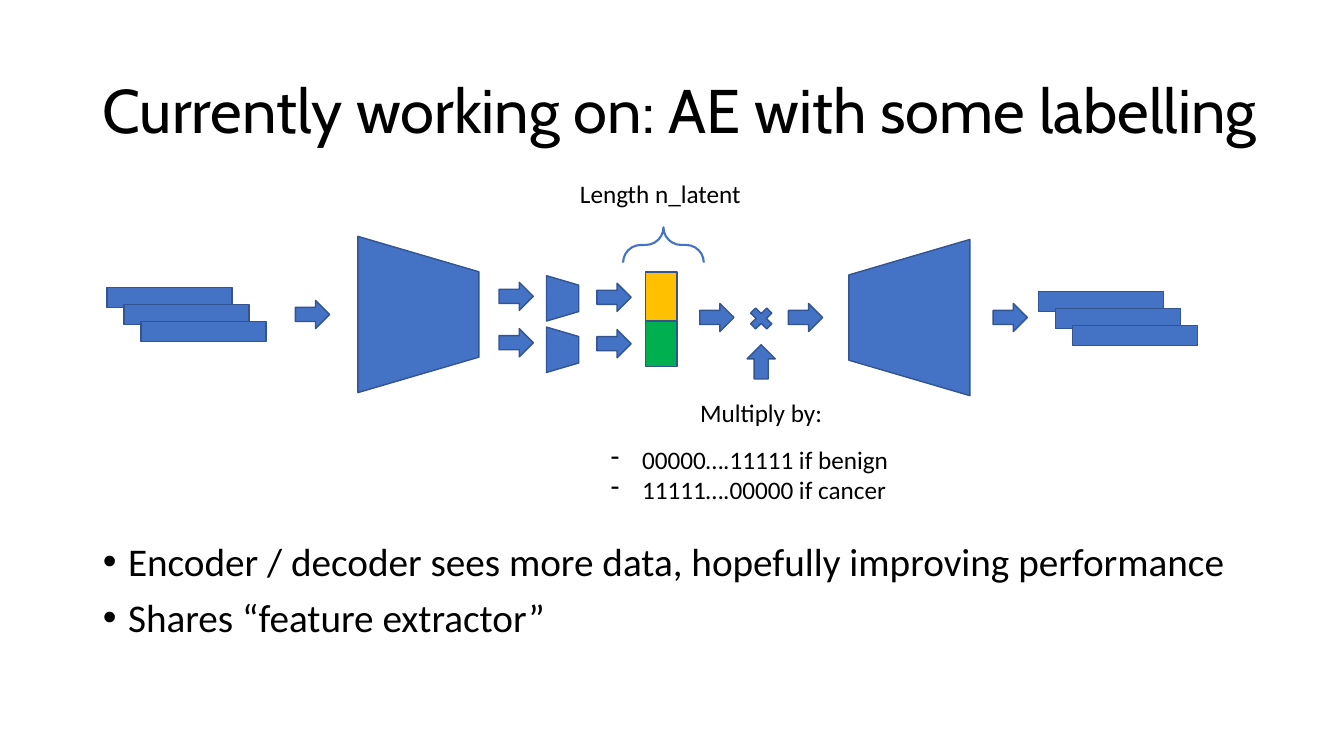
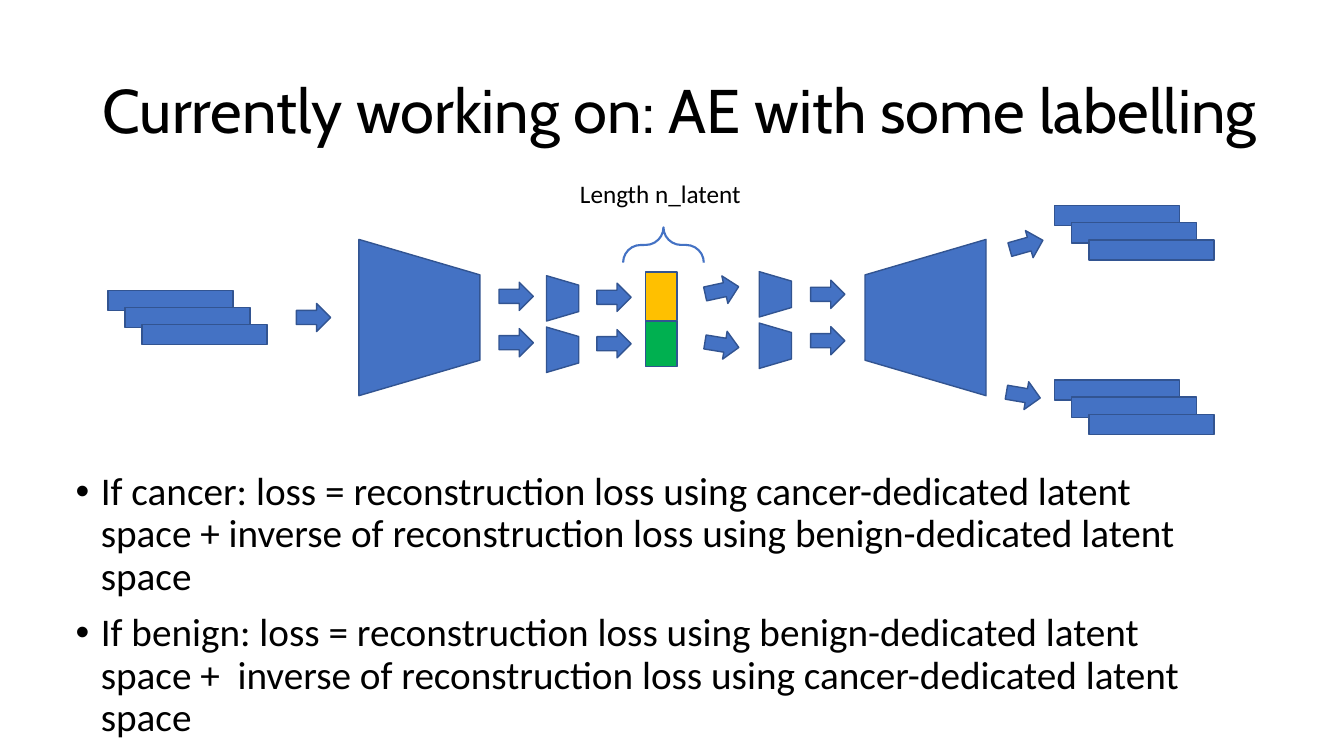
from lxml.etree import SubElement
from pptx import Presentation
from pptx.dml.color import RGBColor
from pptx.enum.shapes import MSO_SHAPE as Preset
from pptx.enum.text import MSO_ANCHOR, MSO_AUTO_SIZE, PP_ALIGN
from pptx.oxml.ns import qn
from pptx.util import Inches, Pt

# Content
TITLE = "Currently working on: AE with some labelling"
LATENT_LABEL = "Length n_latent"
MULTIPLY_LABEL = "Multiply by:"
MASKS = ["00000….11111 if benign", "11111….00000 if cancer"]
BENEFITS = [
    "Encoder / decoder sees more data, hopefully improving performance",
    "Shares “feature extractor”",
]
LOSSES = [
    "If cancer: loss = reconstruction loss using cancer-dedicated latent "
    "space + inverse of reconstruction loss using benign-dedicated latent space",
    "If benign: loss = reconstruction loss using benign-dedicated latent "
    "space +  inverse of reconstruction loss using cancer-dedicated latent space",
]

# Shared style, lengths in inches
COLORS = {"block": "4472C4", "edge": "325491", "benign": "FFC000",
          "cancer": "00B050", "text": "000000"}
SLIDE_W, SLIDE_H = 13.33, 7.5
AXIS = 3.15
ARROW = (0.34, 0.28)
BAR = (1.24, 0.2)
BAR_STEP = 0.17
CODER = (1.55, 1.2)
HEAD = (0.45, 0.32)
HEAD_GAP = 0.51
LANE_GAP = 0.46


def rgb(name):
    return RGBColor.from_string(COLORS[name])


# Text
def write(frame, lines, size, font="Calibri"):
    frame.text = "\n".join(lines)
    frame.word_wrap = True
    for paragraph in frame.paragraphs:
        for run in paragraph.runs:
            run.font.size, run.font.name = Pt(size), font
            run.font.color.rgb = rgb("text")


def hang(paragraph, indent, bullet):
    props = paragraph._p.get_or_add_pPr()
    props.set("marL", str(Inches(indent)))
    props.set("indent", str(-Inches(indent)))
    SubElement(props, qn("a:buChar"), char=bullet)


def place(shape, left, top, width, height):
    shape.left, shape.top = Inches(left), Inches(top)
    shape.width, shape.height = Inches(width), Inches(height)


def add_note(slide, left, top, width, height, lines):
    box = slide.shapes.add_textbox(*map(Inches, (left, top, width, height)))
    write(box.text_frame, lines, 18)
    return box.text_frame.paragraphs


def add_label(slide, center, top, text):
    add_note(slide, center - 0.92, top, 1.84, 0.4, [text])[0].alignment = PP_ALIGN.CENTER


# Diagram parts, each placed by its centre
def add_part(slide, preset, x, y, size, turn=0, fill="block"):
    width, height = size
    part = slide.shapes.add_shape(
        preset, Inches(x - width / 2), Inches(y - height / 2), Inches(width), Inches(height))
    part.rotation = turn % 360
    part.shadow.inherit = False
    part.fill.solid()
    part.fill.fore_color.rgb = rgb(fill)
    part.line.color.rgb = rgb("edge")
    part.line.width = Pt(1)
    return part


def add_arrow(slide, x, y, turn=0):
    add_part(slide, Preset.RIGHT_ARROW, x, y, ARROW, turn)


def add_arrow_pair(slide, x, top):
    for lane in range(2):
        add_arrow(slide, x, top + lane * LANE_GAP)


def add_funnel(slide, x, y, size, turn=90):
    add_part(slide, Preset.TRAPEZOID, x, y, size, turn).adjustments[0] = 0.293


def add_heads(slide, x, top):
    for lane in range(2):
        add_funnel(slide, x, top + lane * HEAD_GAP, HEAD)


def add_bars(slide, x, y):
    for offset in (-BAR_STEP, 0, BAR_STEP):
        add_part(slide, Preset.RECTANGLE, x + offset, y + offset, BAR)


def add_encoder(slide, x, y):
    add_bars(slide, x, y)
    add_arrow(slide, x + 1.25, y)
    add_funnel(slide, x + 2.3, y, CODER)


def add_latent(slide):
    add_arrow_pair(slide, 5.12, 2.94)
    add_heads(slide, 5.58, 2.96)
    add_arrow_pair(slide, 6.09, 2.95)
    add_part(slide, Preset.RECTANGLE, 6.56, 2.94, (0.31, 0.48), fill="benign")
    add_part(slide, Preset.RECTANGLE, 6.56, 3.41, (0.31, 0.45), fill="cancer")
    brace = add_part(slide, Preset.LEFT_BRACE, 6.58, 2.43, (0.35, 0.8), 90)
    brace.adjustments[0], brace.adjustments[1] = 0.5, 0.5
    brace.fill.background()
    brace.line.color.rgb = rgb("block")
    brace.line.width = Pt(1.5)
    add_label(slide, 6.55, 1.72, LATENT_LABEL)


# Frame shared by both slides
def add_slide(deck, points, left, top, encoder_x, encoder_y):
    slide = deck.slides.add_slide(deck.slide_layouts[1])
    title, body = slide.placeholders
    place(title, 0.92, 0.4, 12.08, 1.45)
    write(title.text_frame, [TITLE], 44, "Cabin")
    title.text_frame.vertical_anchor = MSO_ANCHOR.MIDDLE
    heading = title.text_frame.paragraphs[0]
    heading.alignment, heading.line_spacing = PP_ALIGN.LEFT, 0.9

    place(body, left, top, 11.5, SLIDE_H - top)
    write(body.text_frame, points, 28)
    for frame in (title.text_frame, body.text_frame):
        frame.auto_size = MSO_AUTO_SIZE.NONE
    for point in body.text_frame.paragraphs:
        point.line_spacing, point.space_before = 0.9, Pt(10)
        hang(point, 0.25, "•")

    add_encoder(slide, encoder_x, encoder_y)
    add_latent(slide)
    return slide


def build_masked(deck):
    slide = add_slide(deck, BENEFITS, 0.92, 5.33, 1.85, 3.12)
    for x in (7.11, 7.99, 10.02):
        add_arrow(slide, x, AXIS)
    add_part(slide, Preset.MATH_MULTIPLY, 7.55, AXIS + 0.01, (0.31, 0.3))
    add_arrow(slide, 7.55, 3.59, -90)
    add_label(slide, 7.55, 3.89, MULTIPLY_LABEL)
    for mask in add_note(slide, 5.96, 4.36, 3.17, 0.71, MASKS):
        hang(mask, 0.31, "-")
    add_funnel(slide, 9.02, AXIS, CODER, 270)
    add_bars(slide, 11.09, AXIS + 0.01)


def build_split(deck):
    slide = add_slide(deck, LOSSES, 0.65, 4.63, 1.86, AXIS)
    for x, y, turn in [(7.16, 2.88, -12.3), (7.16, 3.42, 9.3),
                       (10.18, 2.43, -15.7), (10.15, 3.92, 9.7)]:
        add_arrow(slide, x, y, turn)
    add_heads(slide, 7.69, 2.92)
    add_arrow_pair(slide, 8.21, 2.92)
    add_funnel(slide, 9.18, AXIS, CODER, 270)
    for y in (2.31, 4.04):
        add_bars(slide, 11.25, y)


def main():
    deck = Presentation()
    deck.slide_width, deck.slide_height = Inches(SLIDE_W), Inches(SLIDE_H)
    build_masked(deck)
    build_split(deck)
    deck.save("out.pptx")


if __name__ == "__main__":
    main()
